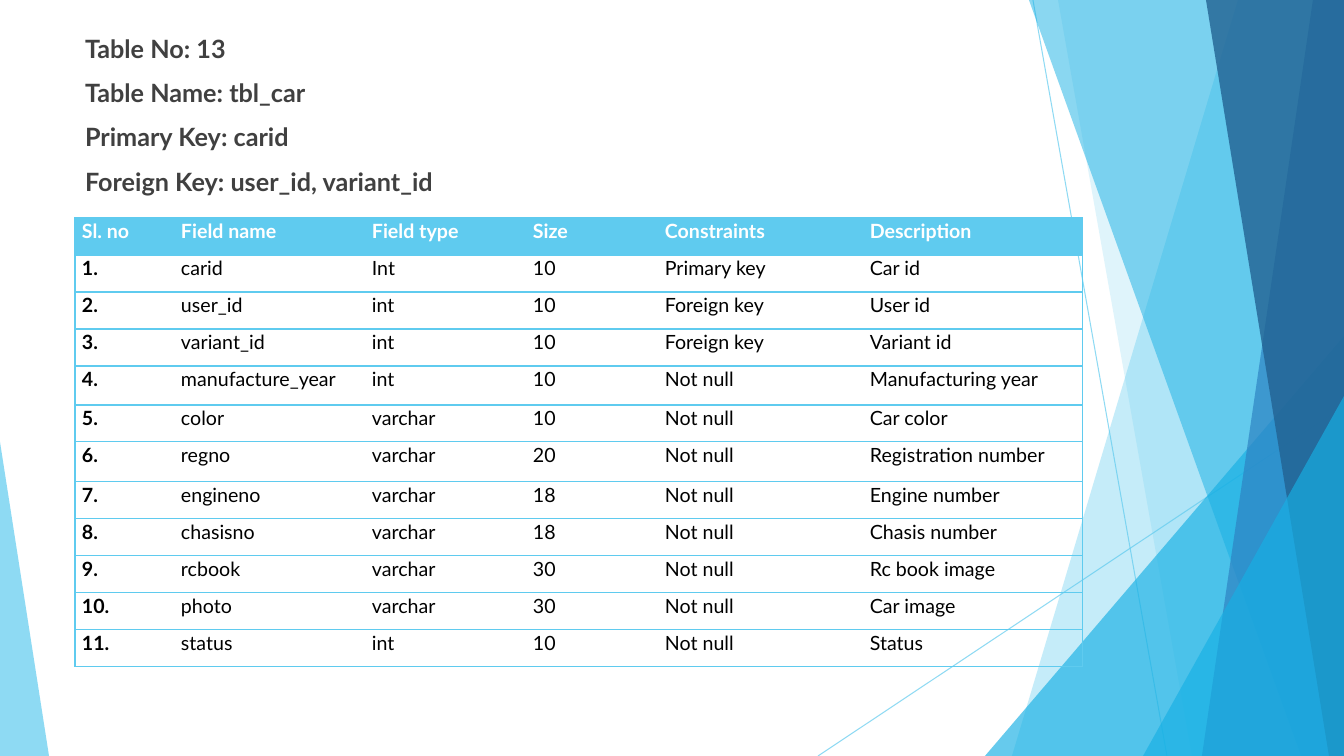
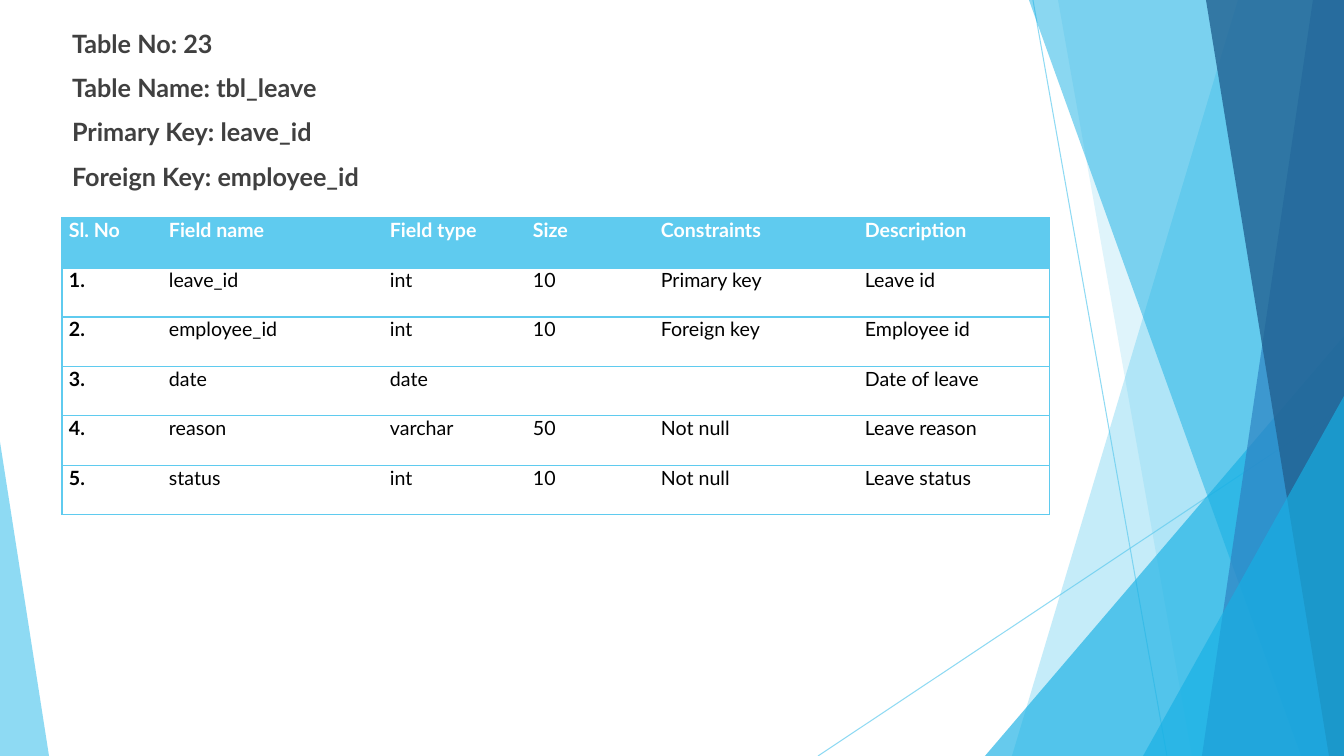
"""Build two data dictionary slides: key facts above a table of fields."""
from dataclasses import dataclass
from itertools import chain

from lxml import etree
from pptx import Presentation
from pptx import util as u
from pptx.dml.color import RGBColor
from pptx.enum import shapes, text
from pptx.oxml.ns import qn

PIXEL = 914400 / 100.8


@dataclass(frozen=True)
class Theme:
    """Colours, font and type sizes of the deck."""
    sky: str = "5FCBEF"
    cyan: str = "17B0E4"
    blue: str = "2E83C3"
    navy: str = "226292"
    ink: str = "404040"
    black: str = "000000"
    white: str = "FFFFFF"
    font: str = "Lato"
    fact_size: int = 18
    cell_size: int = 14
    fact_gap: int = 10
    thin_line: float = 0.75
    cell_line: float = 1
    no_grid_style: str = "{2D5ABB26-0587-4C30-8999-92F81FD0307C}"


@dataclass(frozen=True)
class Box:
    """A rectangle in pixels."""
    left: int
    top: int
    width: int
    height: int

    @property
    def right(self):
        """Right edge."""
        return self.left + self.width

    @property
    def bottom(self):
        """Bottom edge."""
        return self.top + self.height

    def emu(self):
        """Left, top, width and height in EMU."""
        return [px(n) for n in (self.left, self.top, self.width, self.height)]


THEME = Theme()
PAGE = Box(0, 0, 1344, 756)


def px(length):
    """Turn pixels into EMU."""
    return u.Emu(round(length * PIXEL))


def set_opacity(element, percent):
    """Make the first colour inside an element translucent."""
    colour = next(element.iter(qn("a:srgbClr")))
    etree.SubElement(colour, qn("a:alpha")).set("val", str(percent * 1000))


def style_runs(para, size, colour, bold):
    """Format every run of a paragraph."""
    for span in para.runs:
        span.font.name = THEME.font
        span.font.size = u.Pt(size)
        span.font.bold = bold
        span.font.color.rgb = RGBColor.from_string(colour)


def paint(shape, colour, opacity):
    """Give a shape a translucent fill without outline or shadow."""
    shape.shadow.inherit = False
    shape.fill.solid()
    shape.fill.fore_color.rgb = RGBColor.from_string(colour)
    shape.line.fill.background()
    set_opacity(shape.element, opacity)


def add_thin_line(page, start, end):
    """Draw a pale hairline between two points."""
    line = page.shapes.add_connector(
        shapes.MSO_CONNECTOR.STRAIGHT, *map(px, start + end))
    line.line.width = u.Pt(THEME.thin_line)
    line.line.color.rgb = RGBColor.from_string(THEME.sky)
    set_opacity(line.element, 70)
    etree.SubElement(line.element.spPr, qn("a:effectLst"))


def add_band(page, box, top_x, bottom_x, colour, opacity):
    """Fill the area from a slanted edge to the right side of the box."""
    outline = page.shapes.build_freeform(
        box.left + top_x, box.top, scale=PIXEL)
    outline.add_line_segments([
        (box.right, box.top), (box.right, box.bottom),
        (box.left + bottom_x, box.bottom)], close=True)
    paint(outline.convert_to_shape(), colour, opacity)


def add_wedge(page, box, apex, colour, opacity):
    """Draw a right triangle with its apex at the left (0) or right (1)."""
    wedge = page.shapes.add_shape(
        shapes.MSO_SHAPE.ISOSCELES_TRIANGLE, *box.emu())
    wedge.adjustments[0] = apex
    paint(wedge, colour, opacity)


def corner(box, width, height):
    """Return the bottom right corner area of a box."""
    return Box(box.right - width, box.bottom - height, width, height)


def add_facets(page, box):
    """Draw the translucent facets at both sides of the page."""
    add_thin_line(page, (box.left + 1033, box.top),
                  (box.left + 1167, box.bottom))
    add_thin_line(page, (box.right, box.top + 406),
                  (box.left + 818, box.bottom))
    add_band(page, box, 1238, 1012, THEME.sky, 36)
    add_band(page, box, 1058, 1192, THEME.sky, 20)
    add_wedge(page, corner(box, 359, 420), 1, THEME.cyan, 66)
    add_band(page, box, 1029, 1301, THEME.cyan, 50)
    add_band(page, box, 1313, 1202, THEME.blue, 70)
    add_band(page, box, 1206, 1329, THEME.navy, 80)
    add_wedge(page, corner(box, 201, 360), 1, THEME.cyan, 66)
    add_wedge(page, Box(box.left, box.bottom - 314, 49, 314), 0, THEME.sky, 70)


def fill_facts(placeholder, box, facts):
    """Place the body placeholder and list the table's key facts in it."""
    placeholder.left, placeholder.top, placeholder.width, placeholder.height = (
        box.emu())
    frame = placeholder.text_frame
    frame.text = "\n".join(facts)
    frame.auto_size = text.MSO_AUTO_SIZE.NONE
    for para in frame.paragraphs:
        para.space_before = u.Pt(THEME.fact_gap)
        properties = para._p.get_or_add_pPr()
        properties.set("marL", "0")
        properties.set("indent", "0")
        etree.SubElement(properties, qn("a:buNone"))
        style_runs(para, THEME.fact_size, THEME.ink, True)


def add_borders(cell, sides):
    """Draw the named sides of a cell, given in the order L, R, T, B."""
    properties = cell._tc.get_or_add_tcPr()
    for place, side in enumerate(sides):
        border = etree.Element(qn(f"a:ln{side}"))
        border.set("w", str(u.Pt(THEME.cell_line)))
        fill = etree.SubElement(border, qn("a:solidFill"))
        etree.SubElement(fill, qn("a:srgbClr")).set("val", THEME.sky)
        properties.insert(place, border)


def fill_cell(cell, words, is_header, is_number, para_format):
    """Write and format one table cell."""
    cell.margin_left = cell.margin_right = px(7)
    cell.margin_top = cell.margin_bottom = 0
    if is_header:
        cell.fill.solid()
        cell.fill.fore_color.rgb = RGBColor.from_string(THEME.sky)
    else:
        cell.fill.background()
    cell.text_frame.text = words
    para = cell.text_frame.paragraphs[0]
    for name, value in para_format.items():
        setattr(para, name, value)
    style_runs(para, THEME.cell_size,
               THEME.white if is_header else THEME.black,
               is_header or is_number)


def add_field_table(page, left, top, widths, heights, rows, para_format):
    """Add a ruled table whose first row is a header; number its other rows."""
    box = Box(left, top, sum(widths), sum(heights))
    table = page.shapes.add_table(len(rows), len(widths), *box.emu()).table
    table.horz_banding = False
    table._tbl.tblPr.find(qn("a:tableStyleId")).text = THEME.no_grid_style
    for column, width in zip(table.columns, widths):
        column.width = px(width)
    last = len(widths) - 1
    for r, (height, row) in enumerate(zip(heights, rows)):
        table.rows[r].height = px(height)
        values = row if r == 0 else chain([f"{r}."], row)
        for c, words in enumerate(values):
            cell = table.cell(r, c)
            fill_cell(cell, words, r == 0, c == 0, para_format)
            add_borders(cell, {0: "LTB", last: "RTB"}.get(c, "TB"))


def add_dictionary_slide(deck, facts_box, facts, **table):
    """Add one slide with facets, key facts and the field table."""
    page = deck.slides.add_slide(deck.slide_layouts.get_by_name(
        "Title and Content"))
    title = page.shapes.title.element
    title.getparent().remove(title)
    add_facets(page, PAGE)
    fill_facts(page.placeholders[1], facts_box, facts)
    add_field_table(page, left=facts_box.left, top=218, **table)


CAR_FIELDS = [
    ("Sl. no", "Field name", "Field type", "Size", "Constraints",
     "Description"),
    ("carid", "Int", "10", "Primary key", "Car id"),
    ("user_id", "int", "10", "Foreign key", "User id"),
    ("variant_id", "int", "10", "Foreign key", "Variant id"),
    ("manufacture_year", "int", "10", "Not null", "Manufacturing year"),
    ("color", "varchar", "10", "Not null", "Car color"),
    ("regno", "varchar", "20", "Not null", "Registration number"),
    ("engineno", "varchar", "18", "Not null", "Engine number"),
    ("chasisno", "varchar", "18", "Not null", "Chasis number"),
    ("rcbook", "varchar", "30", "Not null", "Rc book image"),
    ("photo", "varchar", "30", "Not null", "Car image"),
    ("status", "int", "10", "Not null", "Status"),
]
LEAVE_FIELDS = [
    ("Sl. No", "Field name", "Field type", "Size", "Constraints",
     "Description"),
    ("leave_id", "int", "10", "Primary key", "Leave id"),
    ("employee_id", "int", "10", "Foreign key", "Employee id"),
    ("date", "date", "", "", "Date of leave"),
    ("reason", "varchar", "50", "Not null", "Leave reason"),
    ("status", "int", "10", "Not null", "Leave status"),
]


def main():
    """Build and save the deck."""
    deck = Presentation()
    deck.slide_width, deck.slide_height = px(PAGE.width), px(PAGE.height)
    add_dictionary_slide(
        deck, Box(75, 28, 948, 638),
        ["Table No: 13", "Table Name: tbl_car", "Primary Key: carid",
         "Foreign Key: user_id, variant_id"],
        widths=(99, 191, 161, 132, 205, 220),
        heights=[37] * 4 + [39, 37, 40] + [37] * 5,
        rows=CAR_FIELDS, para_format={"line_spacing": 1.07})
    add_dictionary_slide(
        deck, Box(62, 23, 1138, 713),
        ["Table No: 23", "Table Name: tbl_leave", "Primary Key: leave_id",
         "Foreign Key: employee_id"],
        widths=(100, 221, 143, 128, 204, 192),
        heights=[50, 49] * 3,
        rows=LEAVE_FIELDS,
        para_format={"alignment": text.PP_ALIGN.JUSTIFY})
    deck.save("out.pptx")


main()
